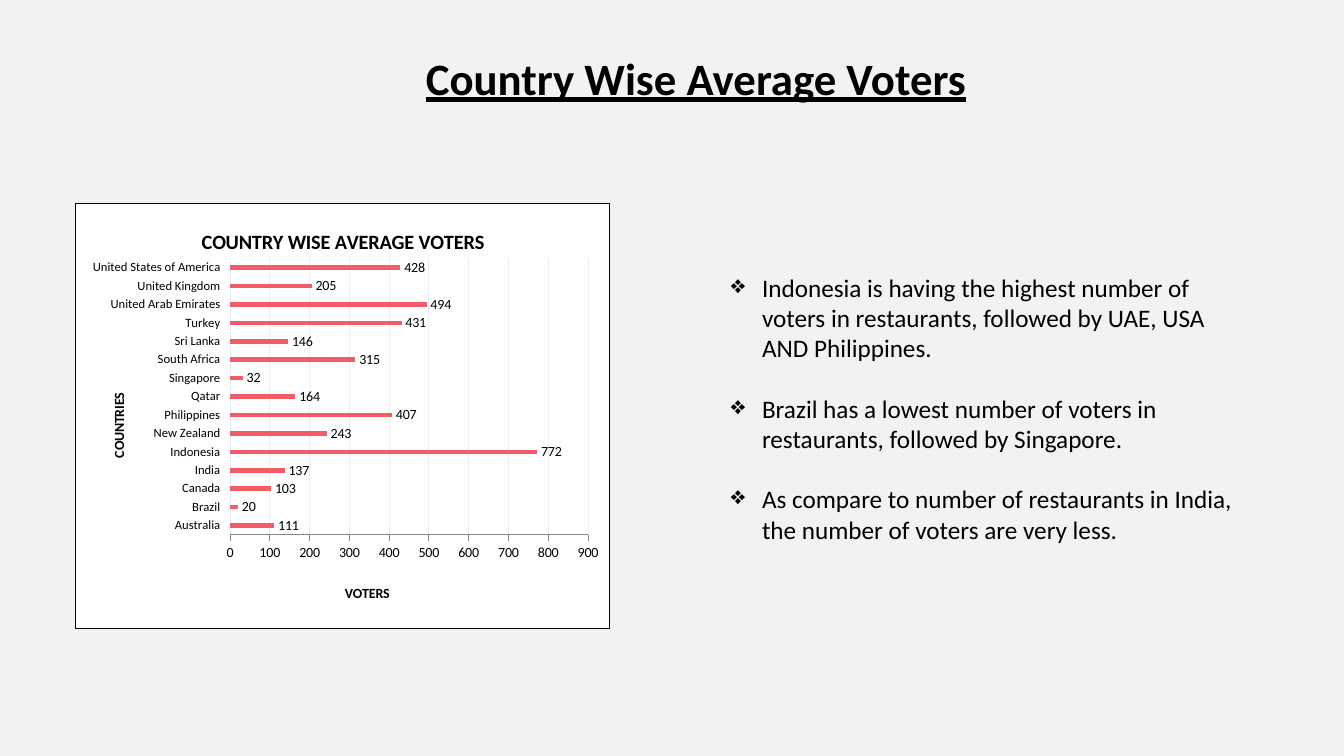
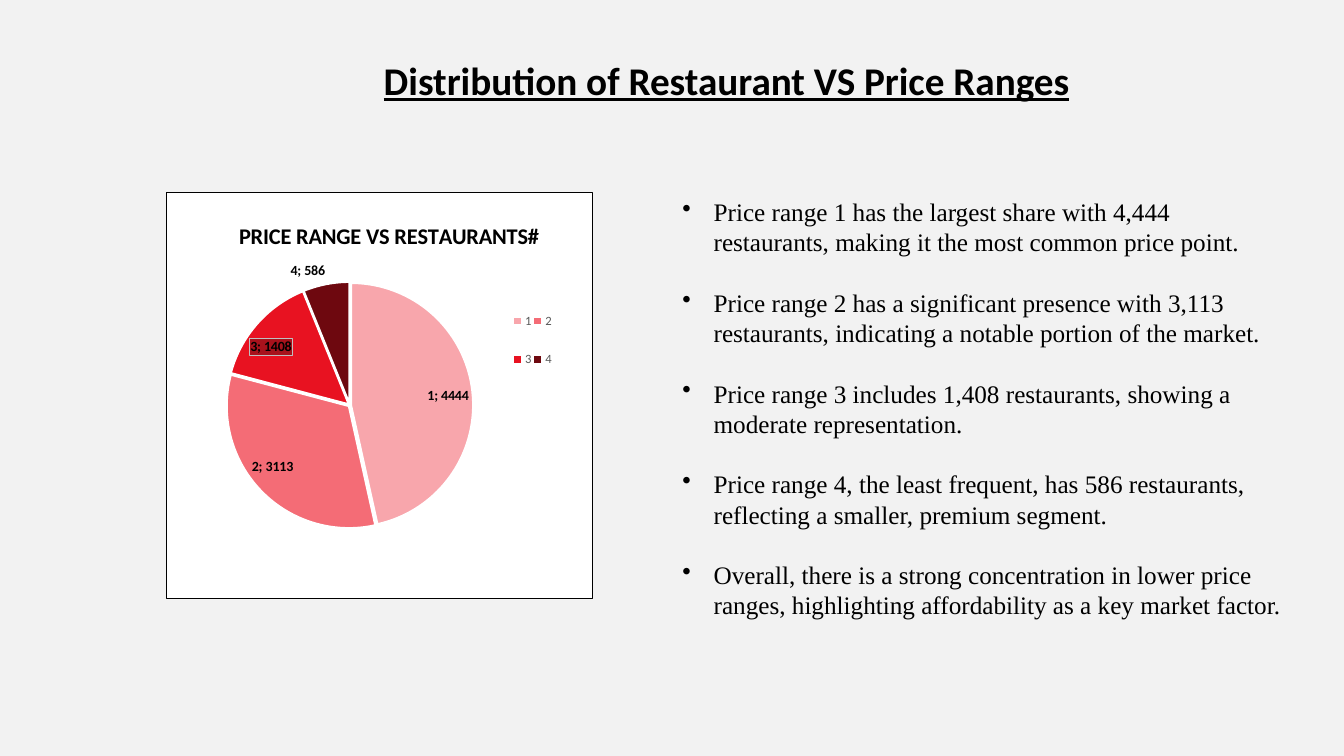
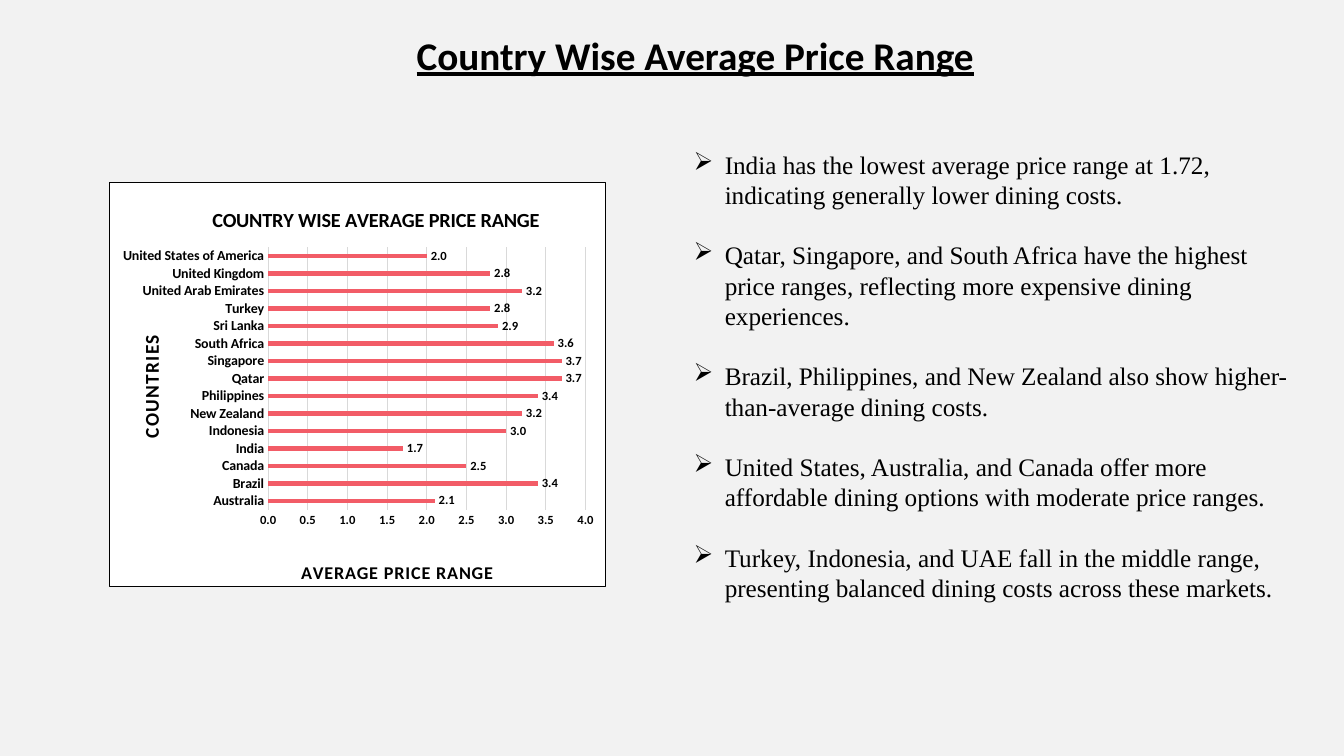
from lxml import etree
from pptx import Presentation
from pptx.chart.data import CategoryChartData
from pptx.dml.color import RGBColor
from pptx.enum.chart import XL_CHART_TYPE as CT, XL_LABEL_POSITION as LP
from pptx.enum.chart import XL_LEGEND_POSITION, XL_TICK_MARK as TM
from pptx.enum.text import PP_ALIGN
from pptx.oxml import parse_xml
from pptx.oxml.ns import nsdecls, qn
from pptx.util import Inches, Pt

BLACK, WHITE, PAPER = "000000", "FFFFFF", "F2F2F2"
CORAL, GREY = "F25C67", "595959"
PRICE_COLORS = ["F8A6AC", "F46C76", "E81221", "6E080F"]
LINE_PITCH = 21.6
COUNTRIES = ["Australia", "Brazil", "Canada", "India", "Indonesia", "New Zealand",
             "Philippines", "Qatar", "Singapore", "South Africa", "Sri Lanka", "Turkey",
             "United Arab Emirates", "United Kingdom", "United States of America"]


def rgb(value):
    return RGBColor.from_string(value)


def style(font, color=BLACK, **values):
    font.color.rgb = rgb(color)
    for name, value in values.items():
        setattr(font, name, value)


def box_props(fill, line):
    """Shape properties for chart parts that have no public format."""
    return parse_xml(
        f'<c:spPr {nsdecls("c", "a")}><a:solidFill><a:srgbClr val="{fill}"/></a:solidFill>'
        f'<a:ln w="9525"><a:solidFill><a:srgbClr val="{line}"/></a:solidFill></a:ln></c:spPr>')


def place(el, x, y, w=None, h=None, inner=False):
    """Fix a chart part at fractions of the chart frame."""
    old = el.find(qn("c:layout"))
    if old is not None:
        el.remove(old)
    values = [("layoutTarget", "inner")] if inner else []
    values += [("xMode", "edge"), ("yMode", "edge"), ("x", x), ("y", y)]
    if w:
        values += [("w", w), ("h", h)]
    layout = etree.Element(qn("c:layout"))
    manual = etree.SubElement(layout, qn("c:manualLayout"))
    for tag, value in values:
        etree.SubElement(manual, qn("c:" + tag)).set("val", str(value))
    before = [c for c in el if c.tag in (qn("c:tx"), qn("c:legendPos"))]
    el.insert(el.index(before[0]) + 1 if before else 0, layout)


class Deck:
    def __init__(self):
        self.prs = Presentation()
        self.prs.slide_width, self.prs.slide_height = Inches(13.33), Inches(7.5)
        self.s = None

    def new_slide(self):
        self.s = self.prs.slides.add_slide(self.prs.slide_layouts[6])
        fill = self.s.background.fill
        fill.solid()
        fill.fore_color.rgb = rgb(PAPER)

    def text_frame(self, at):
        tf = self.s.shapes.add_textbox(*map(Inches, at)).text_frame
        tf.word_wrap = True
        return tf

    def title(self, text, at, size=28):
        p = self.text_frame(at).paragraphs[0]
        p.alignment = PP_ALIGN.CENTER
        r = p.add_run()
        r.text = text
        style(r.font, name="Calibri", size=Pt(size), bold=True, underline=True)

    def bullets(self, items, at, mark, face="Times New Roman"):
        tf = self.text_frame(at)
        for i, item in enumerate(items):
            p = tf.add_paragraph() if i else tf.paragraphs[0]
            p.line_spacing = p.space_after = Pt(LINE_PITCH)
            pPr = p._p.get_or_add_pPr()
            pPr.set("marL", str(Inches(0.31)))
            pPr.set("indent", str(-Inches(0.31)))
            etree.SubElement(pPr, qn("a:buChar")).set("char", mark)
            r = p.add_run()
            r.text = item
            style(r.font, name=face, size=Pt(18))

    def heading(self, owner, text, size, spot, spacing=0):
        """Write the title of a chart or of an axis."""
        r = owner.text_frame.paragraphs[0].add_run()
        r.text = text
        style(r.font, name="Calibri", size=Pt(size), bold=True)
        if spacing:
            r._r.get_or_add_rPr().set("spc", str(spacing))
        place(owner._element, *spot)

    def chart(self, kind, at, cats, vals, title, size, spot, plot, fmt="0"):
        data = CategoryChartData(number_format=fmt)
        data.categories = cats
        data.add_series("Series 1", vals)
        chart = self.s.shapes.add_chart(kind, *map(Inches, at), data).chart
        style(chart.font, name="Calibri", size=Pt(10))
        chart.has_legend = False
        chart.has_title = True
        self.heading(chart.chart_title, title, size, spot)
        root = chart.element.find(qn("c:chart"))
        root.addnext(box_props(WHITE, BLACK))
        place(root.find(qn("c:plotArea")), *plot, inner=True)
        return chart

    def labels(self, chart, fmt, pos, **font):
        labels = chart.plots[0].series[0].data_labels
        style(labels.font, name="Calibri", **font)
        for name, value in dict(show_value=True, number_format=fmt, position=pos,
                                number_format_is_linked=False).items():
            setattr(labels, name, value)
        return labels

    def bar_chart(self, at, vals, title, spot, plot, fmt, top, step, gap, overlap, grid,
                  cat, val, label_size, bold, tick, axis_line):
        chart = self.chart(CT.BAR_CLUSTERED, at, COUNTRIES, vals, title, 14.5, spot, plot, fmt)
        bars = chart.plots[0]
        bars.vary_by_categories = False
        bars.gap_width, bars.overlap = gap, overlap
        fill = bars.series[0].format.fill
        fill.solid()
        fill.fore_color.rgb = rgb(CORAL)
        self.labels(chart, fmt, LP.OUTSIDE_END, size=Pt(label_size), bold=bold)
        for axis, info in ((chart.category_axis, cat), (chart.value_axis, val)):
            axis.has_title = True
            self.heading(axis.axis_title, *info["title"])
            style(axis.tick_labels.font, name="Calibri", size=Pt(info["size"]), bold=bold)
            axis.major_tick_mark, axis.minor_tick_mark = tick, TM.NONE
            axis.format.line.fill.background()
        axis = chart.value_axis
        axis.minimum_scale, axis.maximum_scale, axis.major_unit = 0, top, step
        axis.tick_labels.number_format = fmt
        axis.tick_labels.number_format_is_linked = False
        axis.has_major_gridlines = True
        lines = [(axis.major_gridlines.format.line, grid)]
        if axis_line:
            lines.append((axis.format.line, axis_line))
        for line, color in lines:
            line.color.rgb = rgb(color)
            line.width = Pt(0.75)

    def pie_chart(self, at, cats, vals, title, spot, plot, legend_spot, boxed):
        chart = self.chart(CT.PIE, at, cats, vals, title, 16, spot, plot)
        series = chart.plots[0].series[0]
        for i, color in enumerate(PRICE_COLORS):
            fmt = series.points[i].format
            fmt.fill.solid()
            fmt.fill.fore_color.rgb = rgb(color)
            fmt.line.color.rgb = rgb(WHITE)
            fmt.line.width = Pt(1.5)
        explosion = etree.Element(qn("c:explosion"))
        explosion.set("val", "1")
        series._element.find(qn("c:dPt")).addprevious(explosion)
        bold10 = dict(size=Pt(10), bold=True)
        self.labels(chart, "0", LP.BEST_FIT, **bold10).show_category_name = True
        label = series.points[boxed].data_label
        style(label.font, name="Calibri", **bold10)
        label.position = LP.BEST_FIT
        dLbl = series._element.find(".//" + qn("c:dLbl"))
        dLbl.find(qn("c:showCatName")).set("val", "1")
        dLbl.find(qn("c:txPr")).addprevious(box_props("A8121C", "BFBFBF"))
        chart.has_legend = True
        chart.legend.position = XL_LEGEND_POSITION.RIGHT
        chart.legend.include_in_layout = False
        style(chart.legend.font, GREY, name="Calibri", size=Pt(9))
        place(chart.element.find(".//" + qn("c:legend")), *legend_spot)


def main():
    d = Deck()

    d.new_slide()
    d.bar_chart((0.74, 2.01, 5.31, 4.23),
                [111, 20, 103, 137, 772, 243, 407, 164, 32, 315, 146, 431, 494, 205, 428],
                "COUNTRY WISE AVERAGE VOTERS", (0.23, 0.05), (0.29, 0.13, 0.67, 0.65),
                fmt="0", top=900, step=100, gap=300, overlap=0, grid="E9EEF8",
                cat=dict(title=("COUNTRIES", 10, (0.06, 0.44)), size=9),
                val=dict(title=("VOTERS", 10, (0.5, 0.89)), size=10),
                label_size=10, bold=False, tick=TM.OUTSIDE, axis_line="868686")
    d.title("Country Wise Average Voters", (3.57, 0.45, 6.67, 0.64), 32)
    d.bullets([
        "Indonesia is having the highest number of voters in restaurants, followed by UAE, USA AND Philippines.",
        "Brazil has a lowest number of voters in restaurants, followed by Singapore.",
        "As compare to number of restaurants in India, the number of voters are very less.",
    ], (7.15, 2.65, 5.24, 2.83), "❖", "Calibri")

    d.new_slide()
    d.pie_chart((1.65, 1.9, 4.23, 4.04), ["1", "2", "3", "4"], [4444, 3113, 1408, 586],
                "PRICE RANGE VS RESTAURANTS#", (0.16, 0.06), (0.14, 0.22, 0.58, 0.61),
                legend_spot=(0.81, 0.24, 0.1, 0.25), boxed=2)
    d.title("Distribution of Restaurant VS Price Ranges", (2.35, 0.51, 9.71, 1.04))
    d.bullets([
        "Price range 1 has the largest share with 4,444 restaurants, making it the most common price point.",
        "Price range 2 has a significant presence with 3,113 restaurants, indicating a notable portion of the market.",
        "Price range 3 includes 1,408 restaurants, showing a moderate representation.",
        "Price range 4, the least frequent, has 586 restaurants, reflecting a smaller, premium segment.",
        "Overall, there is a strong concentration in lower price ranges, highlighting affordability as a key market factor.",
    ], (6.67, 1.9, 6.14, 4.64), "•")

    d.new_slide()
    d.title("Country Wise Average Price Range", (3.56, 0.26, 6.67, 0.57))
    d.bar_chart((1.08, 1.81, 4.93, 4.05),
                [2.1, 3.4, 2.5, 1.7, 3.0, 3.2, 3.4, 3.7, 3.7, 3.6, 2.9, 2.8, 3.2, 2.8, 2.0],
                "COUNTRY WISE AVERAGE PRICE RANGE", (0.2, 0.05), (0.32, 0.16, 0.64, 0.65),
                fmt="0.0", top=4, step=0.5, gap=287, overlap=-73, grid="D9D9D9",
                cat=dict(title=("COUNTRIES", 14, (0.05, 0.37), 70), size=10),
                val=dict(title=("AVERAGE PRICE RANGE", 13, (0.38, 0.93), 70), size=9),
                label_size=9, bold=True, tick=TM.NONE, axis_line=None)
    d.bullets([
        "India has the lowest average price range at 1.72, indicating generally lower dining costs.",
        "Qatar, Singapore, and South Africa have the highest price ranges, reflecting more expensive dining experiences.",
        "Brazil, Philippines, and New Zealand also show higher-than-average dining costs.",
        "United States, Australia, and Canada offer more affordable dining options with moderate price ranges.",
        "Turkey, Indonesia, and UAE fall in the middle range, presenting balanced dining costs across these markets.",
    ], (6.78, 1.43, 6.18, 4.64), "➢")

    d.prs.save("out.pptx")


if __name__ == "__main__":
    main()
